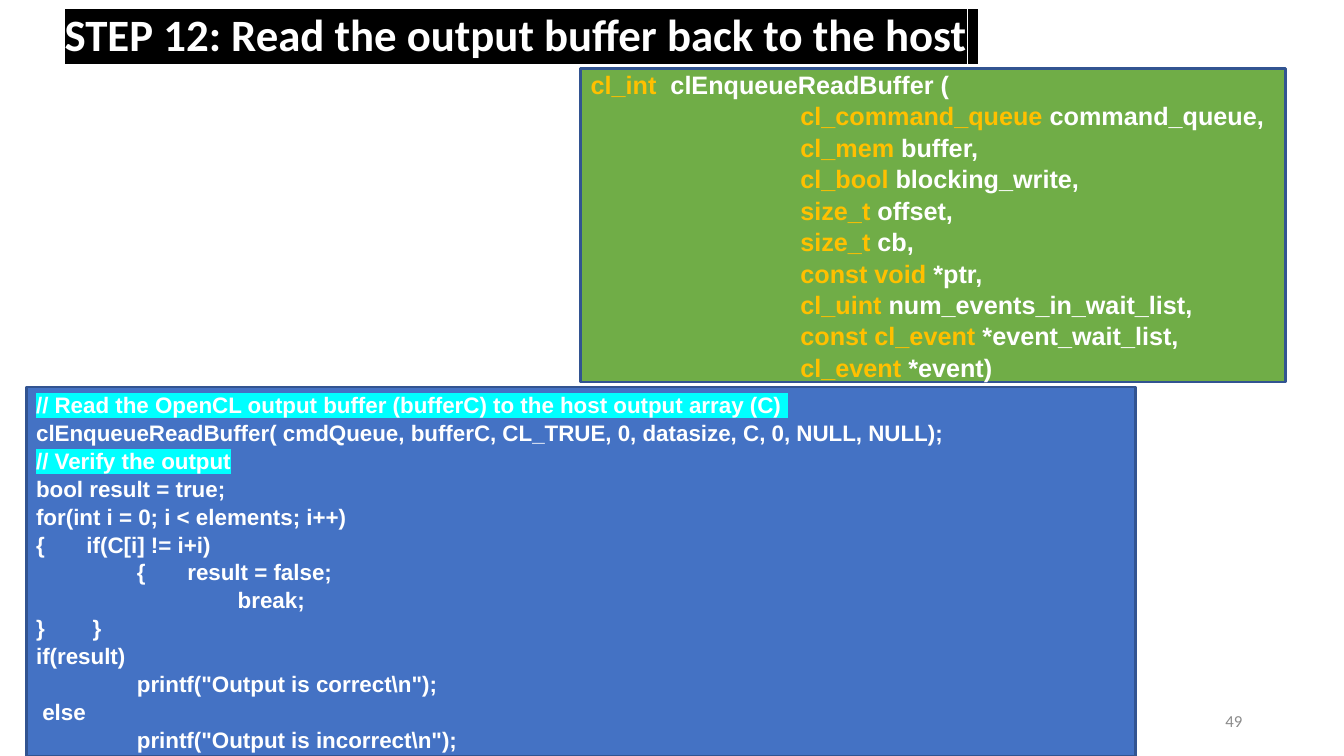
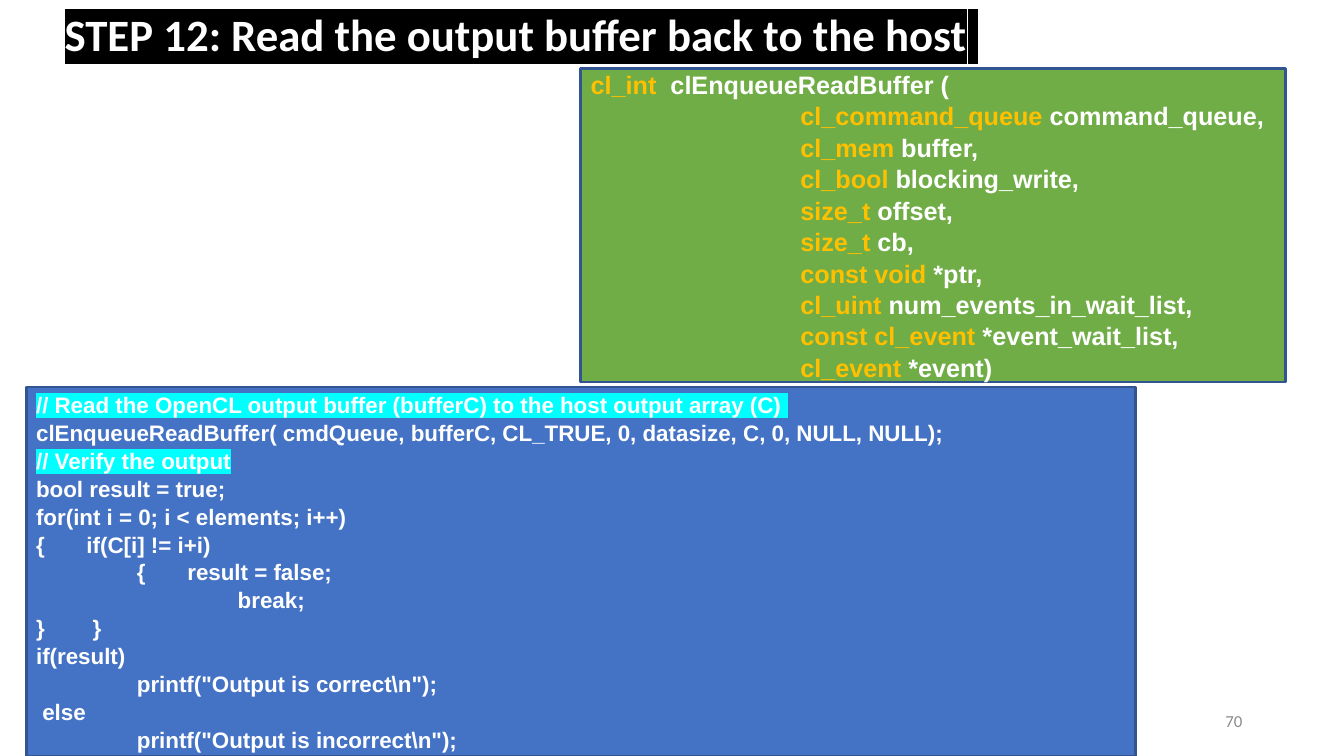
from lxml.etree import SubElement
from pptx import Presentation
from pptx.dml.color import RGBColor
from pptx.enum.shapes import MSO_SHAPE
from pptx.enum.text import MSO_ANCHOR, PP_ALIGN
from pptx.oxml.ns import qn
from pptx.util import Inches, Pt

TITLE = "STEP 12: Read the output buffer back to the host"
PAGE_NUMBERS = ["49", "70"]

# (type, rest of the line)
SIGNATURE = ("cl_int  ", "clEnqueueReadBuffer (")
PARAMETERS = [
    ("cl_command_queue", " command_queue,"),
    ("cl_mem", " buffer,"),
    ("cl_bool", " blocking_write,"),
    ("size_t", " offset,"),
    ("size_t", " cb,"),
    ("const void", " *ptr,"),
    ("cl_uint", " num_events_in_wait_list,"),
    ("const cl_event", " *event_wait_list,"),
    ("cl_event", " *event)"),
]

# (indent level, line)
HOST_CODE = [
    (0, "// Read the OpenCL output buffer (bufferC) to the host output array (C) "),
    (0, "clEnqueueReadBuffer( cmdQueue, bufferC, CL_TRUE, 0, datasize, C, 0, NULL, NULL);"),
    (0, "// Verify the output"),
    (0, "bool result = true;"),
    (0, "for(int i = 0; i < elements; i++)"),
    (0, "{\tif(C[i] != i+i)"),
    (1, "{\tresult = false;"),
    (2, "break;"),
    (0, "}\t }"),
    (0, "if(result)"),
    (1, 'printf("Output is correct\\n");'),
    (0, " else"),
    (1, 'printf("Output is incorrect\\n");'),
]

THEME = {
    "white": "FFFFFF", "black": "000000", "gray": "8B8B8B", "type": "FFC000",
    "comment": "00FFFF", "green": "70AD47", "blue": "4472C4", "border": "325491",
    "heading_font": "Calibri", "code_font": "Arial",
    "title_size": 32, "signature_size": 18, "code_size": 16, "number_size": 12,
    "border_width": 2, "code_spacing": 1.04,
}
TITLE_BOX = (0.54, -0.04, 11.5, 0.82)
SIGNATURE_BOX = (5.76, 0.68, 6.99, 3.11)
CODE_BOX = (0.26, 3.84, 11, 3.66)
NUMBER_BOX = (9.42, 6.95, 3, 0.4)
PARAMETER_INDENT = 2.08
CODE_INDENT = 1


def color(name):
    return RGBColor.from_string(THEME[name])


def apply(target, **values):
    for name, value in values.items():
        setattr(target, name, value)


def place(shape, box):
    apply(shape, **dict(zip(("left", "top", "width", "height"), map(Inches, box))))


def add_run(paragraph, text, size, font, ink="white", bold=True, highlight=None):
    run = paragraph.add_run()
    run.text = text
    apply(run.font, size=Pt(THEME[size]), name=THEME[font], bold=bold)
    run.font.color.rgb = color(ink)
    if highlight:
        properties = run.font._element
        mark = SubElement(properties, qn("a:highlight"))
        SubElement(mark, qn("a:srgbClr"), val=THEME[highlight])
        properties.find(qn("a:solidFill")).addnext(mark)
    return run


def add_title(slide):
    title = slide.shapes.title
    place(title, TITLE_BOX)
    apply(title.text_frame, vertical_anchor=MSO_ANCHOR.MIDDLE, word_wrap=True)
    paragraph = title.text_frame.paragraphs[0]
    apply(paragraph, alignment=PP_ALIGN.LEFT, line_spacing=0.9)
    style = ("title_size", "heading_font")
    add_run(paragraph, TITLE, *style, highlight="black")
    margin = add_run(paragraph, " ", *style, highlight="black")
    margin.font._element.set("spc", "1600")


def add_page_number(slide, number):
    frame = slide.shapes.add_textbox(*map(Inches, NUMBER_BOX)).text_frame
    apply(frame, vertical_anchor=MSO_ANCHOR.MIDDLE, word_wrap=True)
    paragraph = frame.paragraphs[0]
    paragraph.alignment = PP_ALIGN.RIGHT
    add_run(paragraph, number, "number_size", "heading_font", "gray", bold=False)


def add_panel(slide, box, fill, lines):
    """Draw a bordered box; each line is (indent in inches, list of run arguments)."""
    panel = slide.shapes.add_shape(MSO_SHAPE.RECTANGLE, *map(Inches, box))
    panel.shadow.inherit = False
    panel.fill.solid()
    panel.fill.fore_color.rgb = color(fill)
    panel.line.color.rgb = color("border")
    panel.line.width = Pt(THEME["border_width"])
    frame = panel.text_frame
    apply(frame, vertical_anchor=MSO_ANCHOR.MIDDLE, word_wrap=True)
    for index, (indent, runs) in enumerate(lines):
        paragraph = frame.add_paragraph() if index else frame.paragraphs[0]
        apply(paragraph, alignment=PP_ALIGN.LEFT, line_spacing=THEME["code_spacing"])
        properties = paragraph._p.get_or_add_pPr()
        properties.set("marL", str(Inches(indent)))
        properties.set("indent", "0")
        tabs = SubElement(properties, qn("a:tabLst"))
        for stop in (1, 2):
            SubElement(tabs, qn("a:tab"), pos=str(Inches(stop * CODE_INDENT)), algn="l")
        for run in runs:
            add_run(paragraph, **run)


def signature_lines():
    style = {"size": "signature_size", "font": "code_font"}
    for index, (kind, rest) in enumerate([SIGNATURE, *PARAMETERS]):
        yield (PARAMETER_INDENT if index else 0,
               [{"text": kind, "ink": "type", **style}, {"text": rest, **style}])


def code_lines():
    for level, text in HOST_CODE:
        highlight = "comment" if text.startswith("//") else None
        yield (level * CODE_INDENT,
               [{"text": text, "size": "code_size", "font": "code_font",
                 "highlight": highlight}])


def main():
    presentation = Presentation()
    apply(presentation, slide_width=Inches(13.33), slide_height=Inches(7.5))
    title_only = presentation.slide_layouts[5]
    for number in PAGE_NUMBERS:
        slide = presentation.slides.add_slide(title_only)
        add_page_number(slide, number)
        add_title(slide)
        add_panel(slide, SIGNATURE_BOX, "green", signature_lines())
        add_panel(slide, CODE_BOX, "blue", code_lines())
    presentation.save("out.pptx")


if __name__ == "__main__":
    main()
